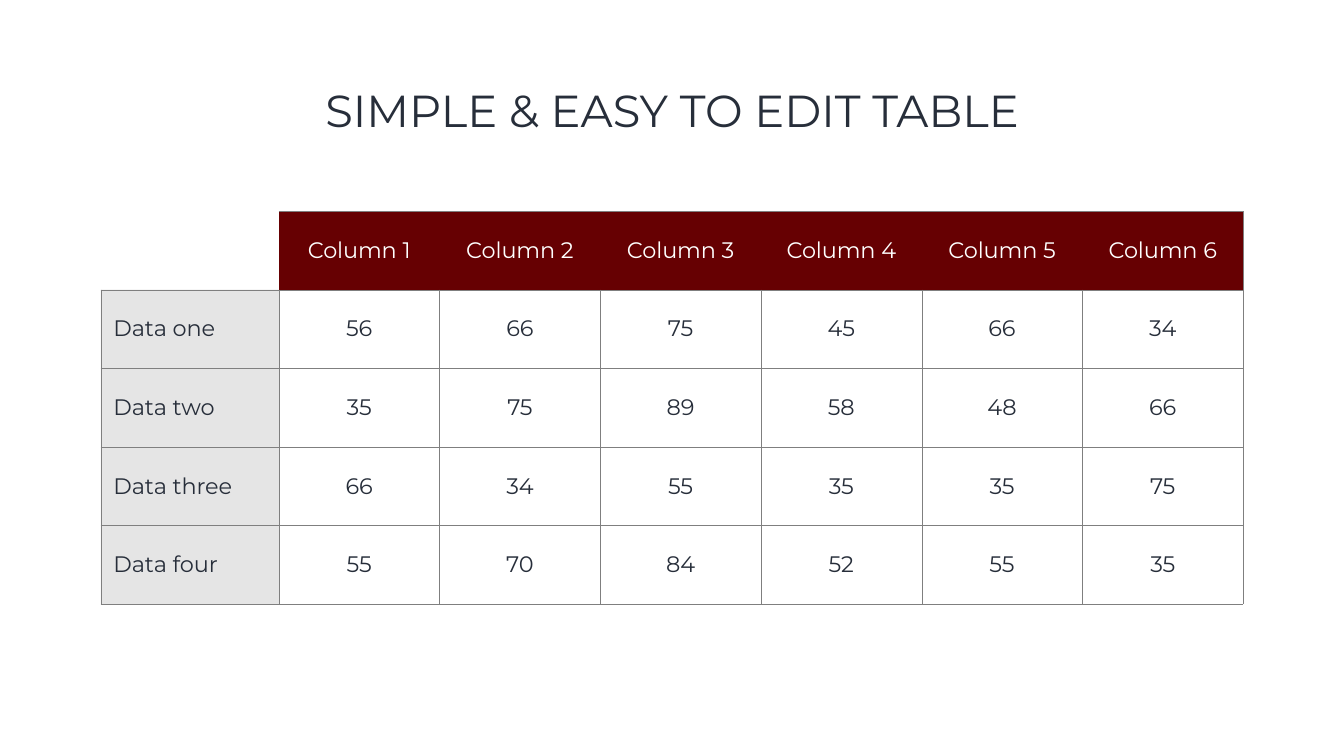
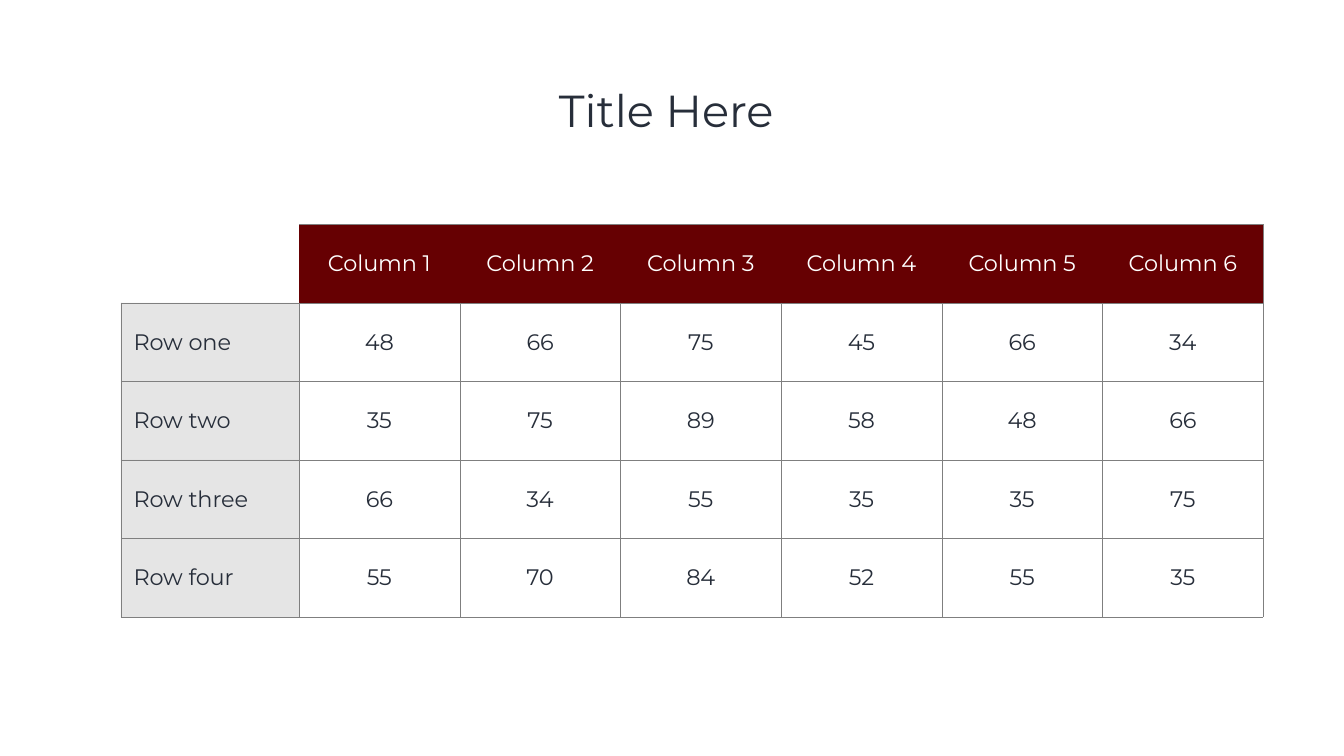
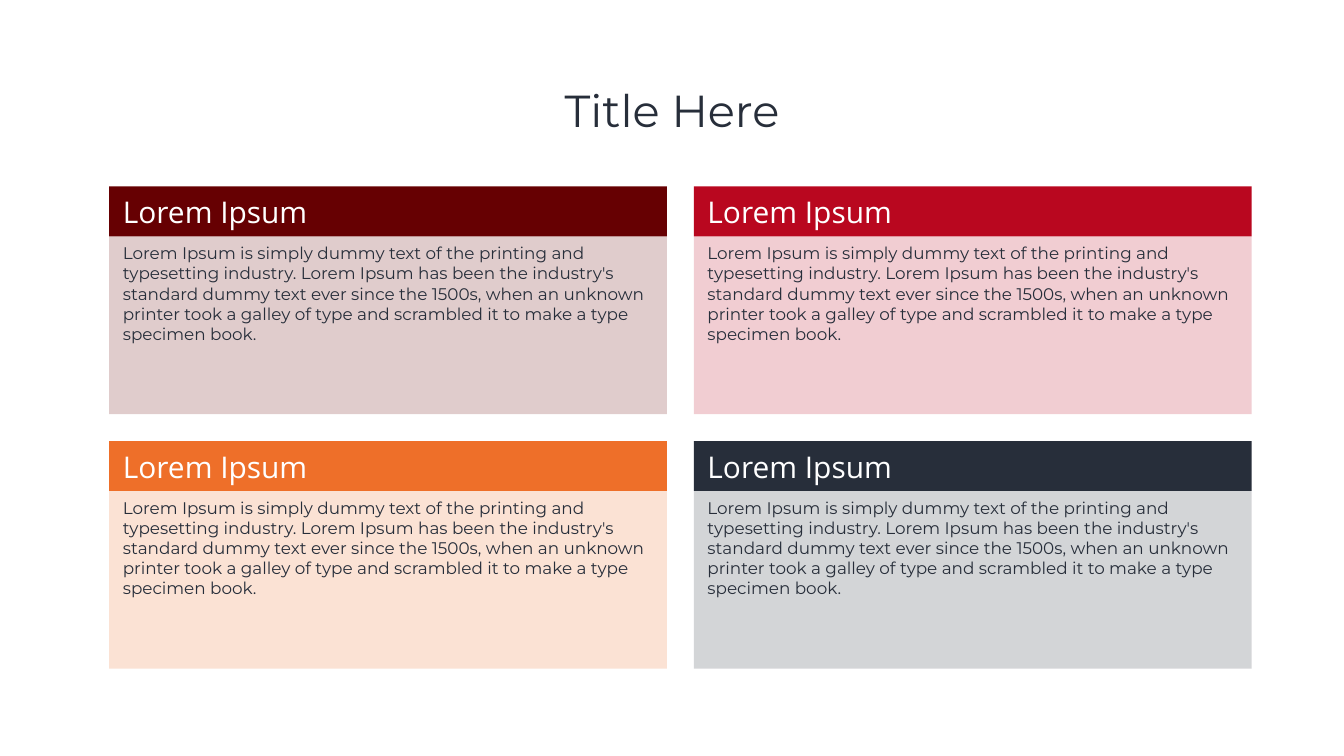
from collections import namedtuple

from lxml import etree
from pptx import Presentation
from pptx.dml.color import RGBColor
from pptx.enum.shapes import MSO_SHAPE
from pptx.enum.text import MSO_ANCHOR, MSO_AUTO_SIZE, PP_ALIGN
from pptx.oxml.ns import qn
from pptx.util import Inches, Pt

RECTANGLE = MSO_SHAPE.RECTANGLE
TOP, MIDDLE, BOTTOM = MSO_ANCHOR.TOP, MSO_ANCHOR.MIDDLE, MSO_ANCHOR.BOTTOM
LEFT, CENTER = PP_ALIGN.LEFT, PP_ALIGN.CENTER
FIXED, GROW = MSO_AUTO_SIZE.NONE, MSO_AUTO_SIZE.SHAPE_TO_FIT_TEXT

MAROON = RGBColor(0x66, 0x00, 0x02)
RED = RGBColor(0xB9, 0x07, 0x1F)
ORANGE = RGBColor(0xEE, 0x6F, 0x29)
NAVY = RGBColor(0x27, 0x2E, 0x3A)
GREY = RGBColor(0x55, 0x55, 0x55)
RULE = RGBColor(0x7F, 0x7F, 0x7F)
WHITE = RGBColor(0xFF, 0xFF, 0xFF)

MAIN_FONT, CARD_FONT = "Montserrat", "Open Sans"

# Every length is counted in squares of an 80 by 45 grid
COLUMNS, ROWS = 80, 45
SQUARE = Inches(15) / ROWS
TITLE_ONLY = 5

Box = namedtuple("Box", "left top width height")
TITLE_BOX = Box(5.5, 2.4, 69, 8.7)
CARDS_BOX = Box(6.5, 11.1, 68, 28.7)
LABEL_WIDTH = 10.6
CARD_GAP = 1.6
CARD_HEADER = 2.97

COLUMN_NAMES = [f"Column {number}" for number in range(1, 7)]
COUNTS = ["one", "two", "three", "four"]
LOWER_ROWS = [
    [35, 75, 89, 58, 48, 66],
    [66, 34, 55, 35, 35, 75],
    [55, 70, 84, 52, 55, 35],
]
FIRST_ROW_REST = [66, 75, 45, 66, 34]
CARD_TITLE = "Lorem Ipsum"
CARD_TEXT = (
    "Lorem Ipsum is simply dummy text of the printing and typesetting industry. "
    "Lorem Ipsum has been the industry's standard dummy text ever since the 1500s, "
    "when an unknown printer took a galley of type and scrambled it to make a type "
    "specimen book."
)


def grid(squares):
    return round(squares * SQUARE)


def place(box):
    return [grid(length) for length in box]


def add_run(paragraph, text, size, color, font=MAIN_FONT):
    run = paragraph.add_run()
    run.text = text
    run.font.size = Pt(size)
    run.font.name = font
    run.font.color.rgb = color
    return run


def set_opacity(parent, percent):
    color = parent.find(qn("a:solidFill"))[0]
    etree.SubElement(color, qn("a:alpha"), val=str(percent * 1000))


def add_titled_slide(presentation, title):
    slide = presentation.slides.add_slide(presentation.slide_layouts[TITLE_ONLY])
    shape = slide.shapes.title
    shape.left, shape.top, shape.width, shape.height = place(TITLE_BOX)
    frame = shape.text_frame
    frame.word_wrap = True
    frame.auto_size = FIXED
    frame.vertical_anchor = MIDDLE
    paragraph = frame.paragraphs[0]
    paragraph.alignment = CENTER
    paragraph.line_spacing = 0.9
    add_run(paragraph, title, 64, NAVY)
    return slide


def set_borders(cell, visible):
    """Rule the visible sides (letters of LRTB) and clear the others."""
    properties = cell._tc.get_or_add_tcPr()
    for side in "LRTB":
        line = etree.SubElement(properties, qn(f"a:ln{side}"), w=str(Pt(0.5)))
        if side in visible:
            fill = etree.SubElement(line, qn("a:solidFill"))
            etree.SubElement(fill, qn("a:srgbClr"), val=str(RULE))
            set_opacity(line, 50)
        else:
            etree.SubElement(line, qn("a:noFill"))


def fill_cell(cell, text, alignment, color):
    cell.vertical_anchor = MIDDLE
    cell.margin_left = cell.margin_right = Inches(0.25)
    cell.margin_top = cell.margin_bottom = Inches(0.13)
    paragraph = cell.text_frame.paragraphs[0]
    paragraph.alignment = alignment
    run = add_run(paragraph, text, 32, color)
    run._r.get_or_add_rPr().set("spc", "-20")


def add_data_table(slide, box, row_names, values):
    rows = [["", *COLUMN_NAMES]]
    rows += [[name, *numbers] for name, numbers in zip(row_names, values)]
    last = len(COLUMN_NAMES)
    table = slide.shapes.add_table(len(rows), last + 1, *place(box)).table
    table.first_row = table.horz_banding = False

    # Wide label column, equal data columns, equal rows
    table.columns[0].width = grid(LABEL_WIDTH)
    for index in range(1, last + 1):
        table.columns[index].width = grid((box.width - LABEL_WIDTH) / last)
    for row in table.rows:
        row.height = grid(box.height / len(rows))

    for row_index, row in enumerate(rows):
        for column_index, value in enumerate(row):
            cell = table.cell(row_index, column_index)
            is_header, is_label = row_index == 0, column_index == 0
            if is_header and is_label:
                set_borders(cell, "B")
                cell.fill.background()
                continue
            if is_header:
                set_borders(cell, "RTB" if column_index == last else "TB")
                cell.fill.solid()
                cell.fill.fore_color.rgb = MAROON
            else:
                set_borders(cell, "LRTB")
                if is_label:
                    cell.fill.solid()
                    cell.fill.fore_color.rgb = GREY
                    set_opacity(cell._tc.tcPr, 15)
                else:
                    cell.fill.background()
            fill_cell(cell, str(value), LEFT if is_label else CENTER,
                      WHITE if is_header else NAVY)


def add_panel(slide, box, color, anchor, auto_size):
    """Add a borderless rectangle and return it with its first paragraph."""
    shape = slide.shapes.add_shape(RECTANGLE, *place(box))
    shape.shadow.inherit = False
    shape.fill.solid()
    shape.fill.fore_color.rgb = color
    shape.line.fill.background()
    frame = shape.text_frame
    frame.word_wrap = True
    frame.auto_size = auto_size
    frame.vertical_anchor = anchor
    frame.margin_left = frame.margin_right = Inches(0.27)
    frame.margin_top = frame.margin_bottom = Inches(0.13)
    paragraph = frame.paragraphs[0]
    paragraph.alignment = LEFT
    return shape, paragraph


def add_card(slide, box, color):
    # Solid heading strip
    header_box = box._replace(height=CARD_HEADER)
    _, paragraph = add_panel(slide, header_box, color, BOTTOM, GROW)
    add_run(paragraph, CARD_TITLE, 42.7, WHITE, CARD_FONT)

    # Tinted body below it
    body_box = box._replace(top=box.top + CARD_HEADER, height=box.height - CARD_HEADER)
    body, paragraph = add_panel(slide, body_box, color, TOP, FIXED)
    set_opacity(body._element.spPr, 20)
    add_run(paragraph, CARD_TEXT, 24, NAVY)


def add_card_grid(slide, box, color_columns):
    width = (box.width - CARD_GAP) / 2
    height = (box.height - CARD_GAP) / 2
    for column, colors in enumerate(color_columns):
        for row, color in enumerate(colors):
            left = box.left + column * (width + CARD_GAP)
            top = box.top + row * (height + CARD_GAP)
            add_card(slide, Box(left, top, width, height), color)


def main():
    presentation = Presentation()
    presentation.slide_width = grid(COLUMNS)
    presentation.slide_height = grid(ROWS)

    # Table slides: title, table box, row label, first value
    table_slides = [
        ("SIMPLE & EASY TO EDIT TABLE", Box(6, 12.57, 68, 23.37), "Data", 56),
        ("Title Here ", Box(7.2, 13.35, 68, 23.37), "Row", 48),
    ]
    for title, box, label, first_value in table_slides:
        slide = add_titled_slide(presentation, title)
        names = [f"{label} {count}" for count in COUNTS]
        add_data_table(slide, box, names, [[first_value, *FIRST_ROW_REST], *LOWER_ROWS])

    # Card slide
    slide = add_titled_slide(presentation, "Title Here")
    add_card_grid(slide, CARDS_BOX, [(MAROON, ORANGE), (RED, NAVY)])

    presentation.save("out.pptx")


if __name__ == "__main__":
    main()
